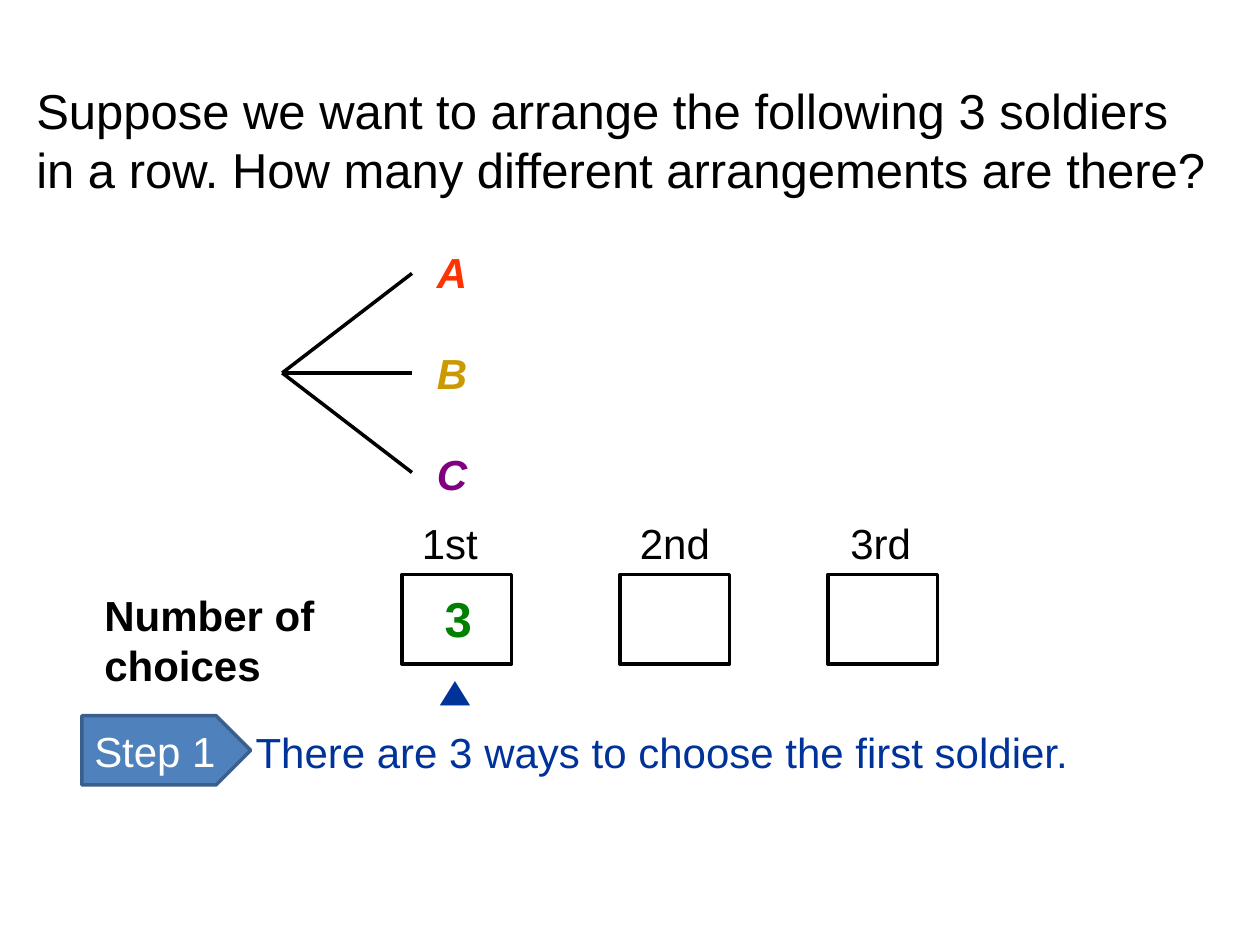
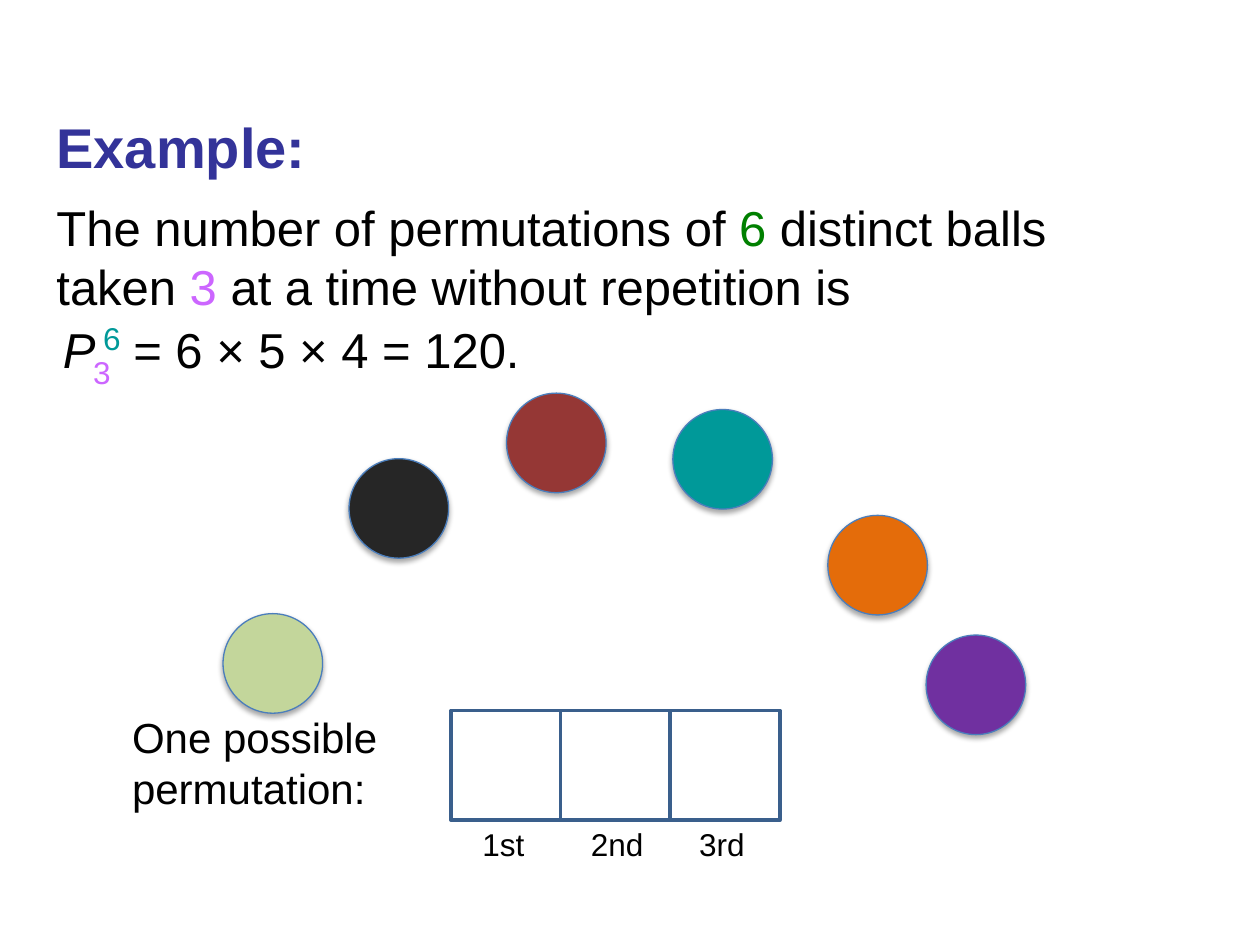
from lxml import etree
from pptx import Presentation
from pptx.dml.color import RGBColor
from pptx.enum.shapes import MSO_CONNECTOR, MSO_SHAPE
from pptx.enum.text import MSO_ANCHOR
from pptx.oxml import parse_xml
from pptx.oxml.ns import nsdecls, qn
from pptx.util import Inches, Pt

FONT = "Arial"
BLACK = RGBColor(0x00, 0x00, 0x00)
WHITE = RGBColor(0xFF, 0xFF, 0xFF)
GREEN = RGBColor(0x00, 0x80, 0x00)
NAVY = RGBColor(0x00, 0x33, 0x99)
INDIGO = RGBColor(0x33, 0x33, 0x99)
TEAL = RGBColor(0x00, 0x99, 0x99)
PINK = RGBColor(0xCC, 0x66, 0xFF)
RED = RGBColor(0xFF, 0x33, 0x00)
GOLD = RGBColor(0xCC, 0x99, 0x00)
PURPLE = RGBColor(0x80, 0x00, 0x80)
STEP_FILL = RGBColor(0x4F, 0x81, 0xBD)
STEEL = RGBColor(0x3A, 0x5F, 0x8C)
BALL_LINE = RGBColor(0x4B, 0x7E, 0xBC)
LIME = RGBColor(0xC3, 0xD6, 0x9B)
CHARCOAL = RGBColor(0x26, 0x26, 0x26)
BRICK = RGBColor(0x95, 0x37, 0x35)
ORANGE = RGBColor(0xE4, 0x6C, 0x0A)
VIOLET = RGBColor(0x70, 0x30, 0xA0)

PLACES = ("1st", "2nd", "3rd")
BALL_SIZE = 0.79
BALL_SHADOW = (
    f'<a:effectLst {nsdecls("a")}>'
    '<a:outerShdw blurRad="39370" dist="22860" dir="5400000" rotWithShape="0">'
    '<a:srgbClr val="000000"><a:alpha val="35000"/></a:srgbClr>'
    '</a:outerShdw></a:effectLst>'
)


def format_run(run, size, color, bold=False, italic=False):
    """Apply the deck font to a run."""
    run.font.name = FONT
    run.font.size = Pt(size)
    run.font.color.rgb = color
    run.font.bold = bold
    run.font.italic = italic


def add_text(slide, box, text, size, color=BLACK, bold=False, italic=False, wrap=False):
    """Add a text box holding one formatted run and return it."""
    shape = slide.shapes.add_textbox(*map(Inches, box))
    shape.text_frame.word_wrap = wrap
    shape.text_frame.text = text
    format_run(shape.text_frame.paragraphs[0].runs[0], size, color, bold, italic)
    return shape


def add_colored_text(slide, box, parts, size):
    """Add a wrapping text box whose parts have their own colours."""
    shape = slide.shapes.add_textbox(*map(Inches, box))
    shape.text_frame.word_wrap = True
    paragraph = shape.text_frame.paragraphs[0]
    for text, color in parts:
        run = paragraph.add_run()
        run.text = text
        format_run(run, size, color)


def add_outlined_shape(slide, kind, box, line_color, line_width=2, fill=None):
    """Add a preset shape with an outline and an optional fill."""
    shape = slide.shapes.add_shape(kind, *map(Inches, box))
    shape.shadow.inherit = False
    if fill is None:
        shape.fill.background()
    else:
        shape.fill.solid()
        shape.fill.fore_color.rgb = fill
    shape.line.color.rgb = line_color
    shape.line.width = Pt(line_width)
    return shape


def add_branch(slide, start, end):
    """Add one plain line of the tree diagram."""
    branch = slide.shapes.add_connector(
        MSO_CONNECTOR.STRAIGHT, *map(Inches, start + end))
    branch.line.color.rgb = BLACK
    branch.line.width = Pt(2)
    etree.SubElement(branch._element.spPr, qn("a:effectLst"))


def add_ball(slide, left, top, color):
    """Add a coloured ball with a soft shadow below it."""
    ball = add_outlined_shape(
        slide, MSO_SHAPE.OVAL, (left, top, BALL_SIZE, BALL_SIZE), BALL_LINE, 0.75, color)
    properties = ball._element.spPr
    properties.replace(properties.find(qn("a:effectLst")), parse_xml(BALL_SHADOW))


def add_step(slide, box, text):
    """Add the arrow-shaped step tag."""
    tag = add_outlined_shape(slide, MSO_SHAPE.PENTAGON, box, STEEL, fill=STEP_FILL)
    tag.text_frame.word_wrap = False
    tag.text_frame.vertical_anchor = MSO_ANCHOR.MIDDLE
    tag.text_frame.text = text
    format_run(tag.text_frame.paragraphs[0].runs[0], 24, WHITE)


def build_soldiers_slide(slide):
    """Show the first step of arranging three soldiers."""
    add_text(slide, (0.19, 0.59, 9.53, 1.03),
             "Suppose we want to arrange the following 3 soldiers in a row. "
             "How many different arrangements are there?", 28, wrap=True)

    root_left, root_top, rise = 2.24, 2.96, 0.79
    for row, (soldier, color) in enumerate((("A", RED), ("B", GOLD), ("C", PURPLE))):
        add_branch(slide, (root_left, root_top), (3.27, root_top + (row - 1) * rise))
        add_text(slide, (3.37, 1.91 + row * 0.8, 0.44, 0.5), soldier, 24, color, True, True)

    add_text(slide, (0.73, 4.63, 1.89, 0.91), "Number of choices", 24, bold=True, wrap=True)
    columns = ((3.25, 3.19), (4.98, 4.92), (6.65, 6.57))
    for place, (label_left, box_left) in zip(PLACES, columns):
        add_text(slide, (label_left, 4.06, 0.9, 0.5), place, 24, wrap=True)
        add_outlined_shape(slide, MSO_SHAPE.RECTANGLE, (box_left, 4.56, 0.87, 0.71), BLACK)
    add_text(slide, (3.43, 4.62, 0.42, 0.57), "3", 28, GREEN, bold=True)

    pointer = add_text(slide, (3.4, 5.3, 0.5, 0.5), "◀", 24, NAVY)
    pointer.rotation = 90
    add_text(slide, (1.93, 5.72, 6.71, 0.51),
             "There are 3 ways to choose the first soldier.", 24, NAVY)
    add_step(slide, (0.65, 5.68, 1.34, 0.55), "Step 1")


def build_balls_slide(slide):
    """Show the permutations of six balls taken three at a time."""
    add_text(slide, (0.35, 0.84, 2.19, 0.64), "Example:", 32, INDIGO, bold=True)
    add_colored_text(slide, (0.35, 1.52, 8.9, 1.04), (
        ("The number of permutations of ", BLACK),
        ("6", GREEN),
        (" distinct balls taken ", BLACK),
        ("3", PINK),
        (" at a time without repetition is", BLACK),
    ), 28)

    add_text(slide, (0.4, 2.49, 0.46, 0.57), "P", 28, italic=True)
    add_text(slide, (0.96, 2.49, 3.49, 0.57), "= 6 × 5 × 4 = 120.", 28)
    add_text(slide, (0.64, 2.75, 0.95, 0.4), "3", 18, PINK)
    add_text(slide, (0.72, 2.48, 0.94, 0.4), "6", 18, TEAL)

    balls = (
        (1.77, 4.87, LIME), (2.77, 3.64, CHARCOAL), (4.02, 3.12, BRICK),
        (5.34, 3.25, TEAL), (6.57, 4.09, ORANGE), (7.35, 5.04, VIOLET),
    )
    for left, top, color in balls:
        add_ball(slide, left, top, color)

    add_text(slide, (0.95, 5.6, 2.23, 0.91), "One possible permutation:", 24, wrap=True)
    square = 0.87
    for column, place in enumerate(PLACES):
        add_outlined_shape(slide, MSO_SHAPE.RECTANGLE,
                           (3.58 + column * square, 5.64, square, square), STEEL)
        add_text(slide, (3.73 + column * 0.86, 6.5, 0.71, 0.4), place, 18)


def main():
    """Build and save the presentation."""
    presentation = Presentation()
    presentation.slide_width = Inches(10)
    presentation.slide_height = Inches(7.5)
    for build_slide in (build_soldiers_slide, build_balls_slide):
        build_slide(presentation.slides.add_slide(presentation.slide_layouts[6]))
    presentation.save("out.pptx")


if __name__ == "__main__":
    main()
